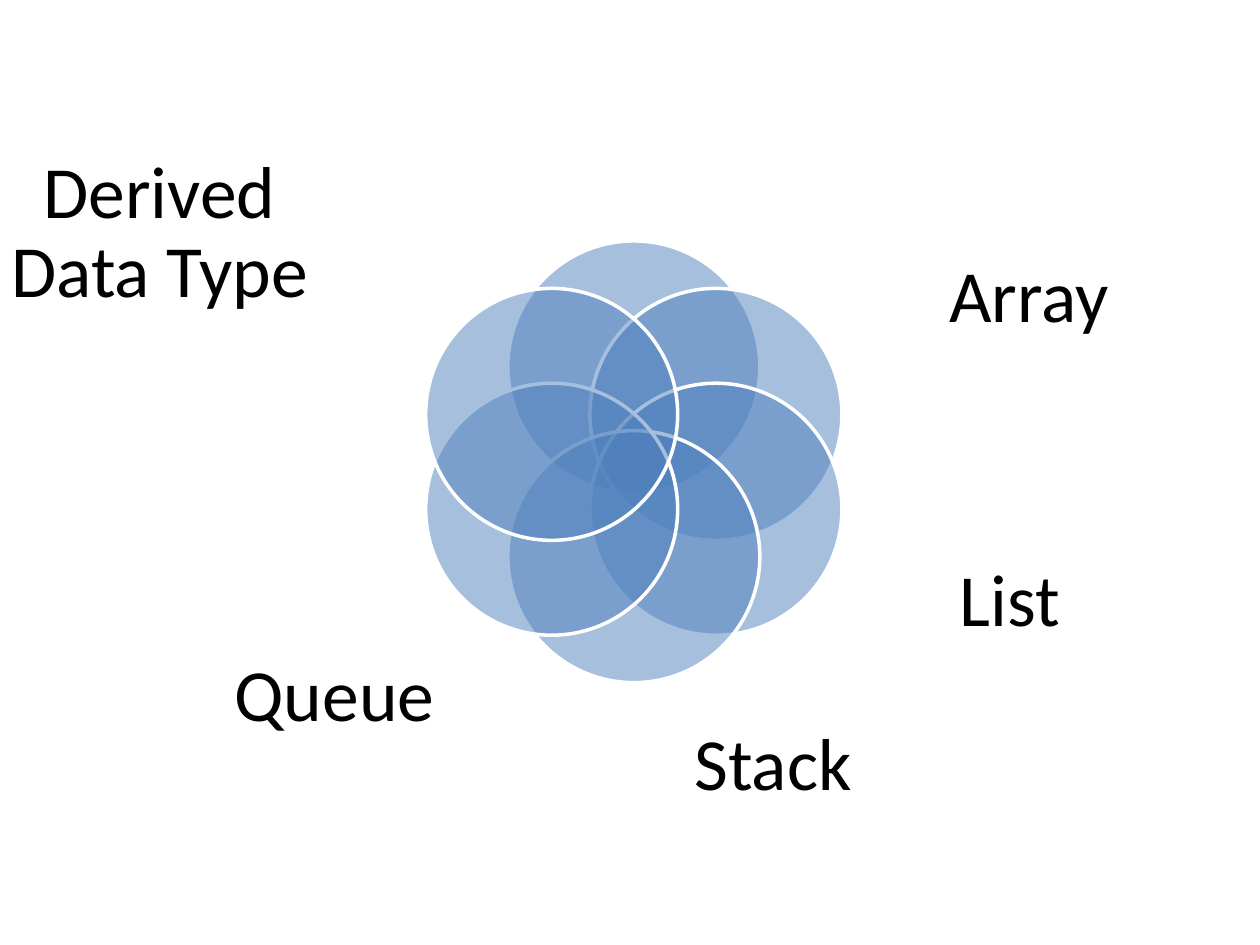
import math
from lxml import etree
from pptx import Presentation
from pptx import util as u
from pptx.dml.color import RGBColor
from pptx.enum import shapes, text
from pptx.oxml.ns import qn

HUES = {"petal": "4F81BD", "rim": "FFFFFF", "ink": "000000"}
FONT = {"name": "Calibri", "size": u.Pt(42)}
FRAME = {"word_wrap": True, "vertical_anchor": text.MSO_ANCHOR.MIDDLE,
         "margin_left": 0, "margin_right": 0, "margin_top": 0, "margin_bottom": 0}
PARA = {"alignment": text.PP_ALIGN.CENTER, "line_spacing": 0.9}


def apply(obj, vals):
    for key, val in vals.items():
        setattr(obj, key, val)


class Venn:
    def __init__(self, slide):
        self.slide = slide

    def hue(self, name):
        return RGBColor.from_string(HUES[name])

    def petal(self, x, y, size):
        """Half-clear circle centred on x, y."""
        box = [u.Pt(v) for v in (x - size / 2, y - size / 2, size, size)]
        disc = self.slide.shapes.add_shape(shapes.MSO_SHAPE.OVAL, *box)
        disc.shadow.inherit = False
        disc.fill.solid()
        disc.fill.fore_color.rgb = self.hue("petal")
        tint = disc.fill._xPr.find(qn("a:solidFill"))[0]
        etree.SubElement(tint, qn("a:alpha"), val="50000")
        disc.line.color.rgb = self.hue("rim")
        disc.line.width = u.Pt(2)

    def label(self, words, *box):
        frame = self.slide.shapes.add_textbox(*[u.Pt(v) for v in box]).text_frame
        apply(frame, FRAME)
        para = frame.paragraphs[0]
        para.text = words
        apply(para, PARA)
        apply(para.font, FONT)
        para.font.color.rgb = self.hue("ink")


def main():
    deck = Presentation()
    deck.slide_width, deck.slide_height = u.Pt(720), u.Pt(540)
    venn = Venn(deck.slides.add_slide(deck.slide_layouts[6]))

    # Ring of six circles, clockwise from the top
    for step in range(6):
        turn = math.radians(60 * step)
        venn.petal(362.2 + 54.2 * math.sin(turn), 263.9 - 54.2 * math.cos(turn), 144)

    # Labels: words, left, top, width, height
    for item in (
        ("Derived Data Type", 5.8, 79.9, 170.7, 108),
        ("List", 491.8, 284.4, 170.7, 120.2),
        ("Array", 497.5, 121.7, 180.7, 97.9),
        ("Stack", 356.4, 378, 170.7, 120.2),
        ("Queue", 105.8, 338.4, 170.7, 120.2),
    ):
        venn.label(*item)

    deck.save("out.pptx")


if __name__ == "__main__":
    main()
